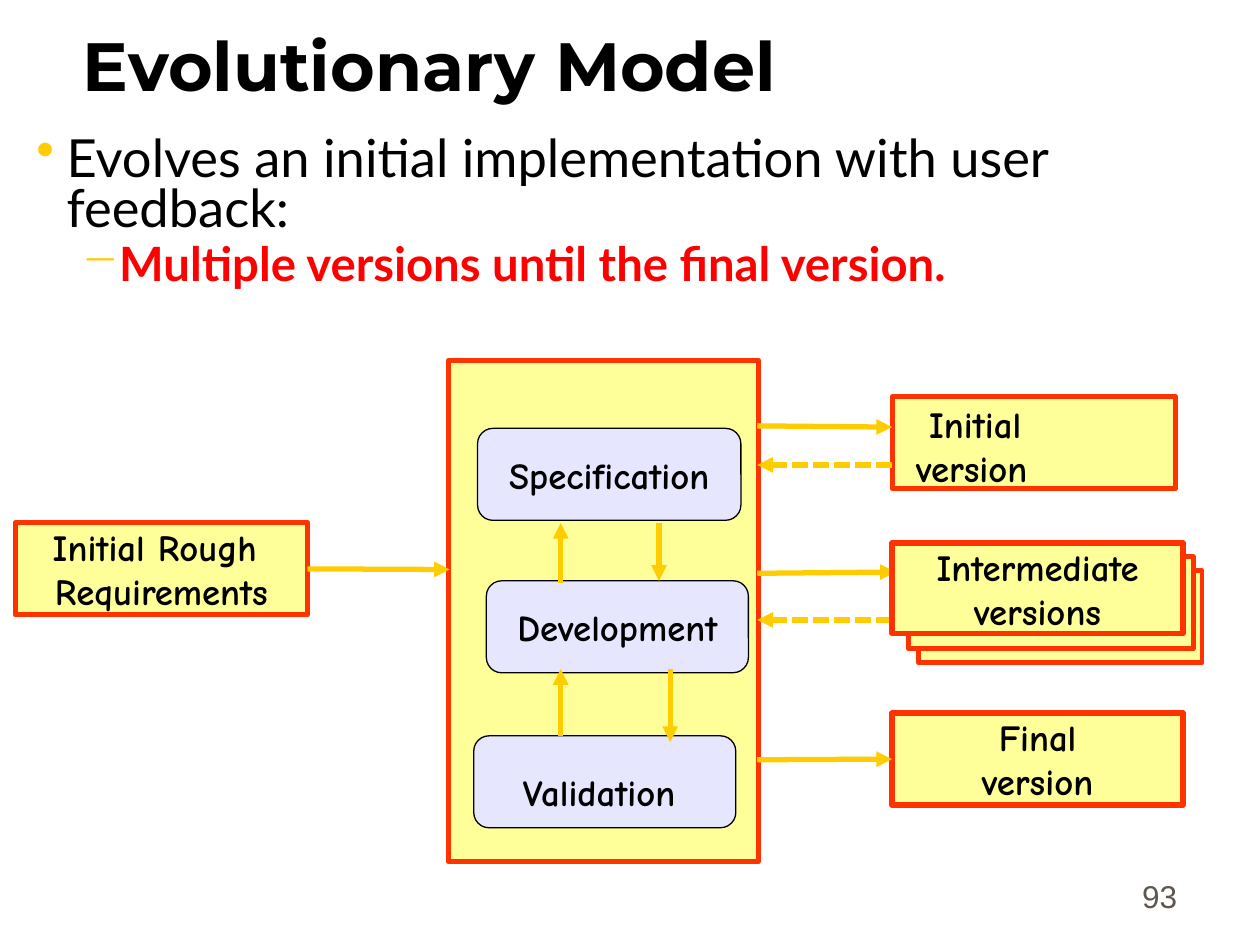
from lxml.etree import SubElement
from pptx import Presentation
from pptx.dml.color import RGBColor
from pptx.enum.dml import MSO_LINE
from pptx.enum.shapes import MSO_CONNECTOR, MSO_SHAPE
from pptx.enum.text import MSO_ANCHOR, PP_ALIGN
from pptx.oxml.ns import qn
from pptx.util import Inches, Pt

COLORS = {"black": "000000", "red": "FF0000", "gold": "FFCC00", "yellow": "FFFF99",
          "orange": "FF3300", "lavender": "E6E6FF", "gray": "5E574E"}

# Content: text lines, then left, top, width, height in inches
TITLE = "Evolutionary Model"
BULLETS = [
    ("Evolves an initial implementation with user feedback:",
     dict(size=30, color="black"),
     dict(char="•", margin=0.31, hang=0.24, before=1.5, after=3)),
    ("Multiple versions until the final version.",
     dict(size=27, color="red", bold=True),
     dict(char="−", margin=0.64, hang=0.21, before=1.2, after=2.6)),
]
PAGE_NUMBER = "93"

BOX_H = 0.73
PROCESS = (3.56, 2.86, 2.46, 3.98)
STAGES = [
    (["Specification"], (3.79, 3.4, 2.09, BOX_H)),
    (["Development"], (3.86, 4.61, 2.08, BOX_H)),
    ([], (3.76, 5.84, 2.08, BOX_H)),
]
VALIDATION = (["Validation"], (4.06, 6.07, 1.52, 0.37))
REQUIREMENTS = (["Initial Rough ", "Requirements"], (0.12, 4.15, 2.32, BOX_H))
INITIAL_BOX = (7.08, 3.15, 2.25, BOX_H)
INITIAL = ([" Initial", "version"], (7.18, 3.15, 1.62, BOX_H))
FINAL = (["Final", "version"], (7.08, 5.66, 2.31, BOX_H))
INTERMEDIATE = [  # stacked sheets, back to front
    ([], (7.29, 4.53, 2.25, BOX_H)),
    ([], (7.21, 4.42, 2.26, BOX_H)),
    (["Intermediate", "versions"], (7.08, 4.31, 2.31, 0.72)),
]

# Arrows: start point, tip, dashed
STAGE_ARROWS = [
    ((4.45, 4.63), (4.45, 4.15), False),
    ((5.23, 4.15), (5.23, 4.61), False),
    ((4.45, 5.84), (4.45, 5.31), False),
    ((5.32, 5.31), (5.32, 5.89), False),
]
VERSION_ARROWS = [
    ((6.01, 3.38), (7.08, 3.39), False),
    ((7.08, 3.69), (6.01, 3.69), True),
    ((6.01, 4.55), (7.11, 4.54), False),
    ((7.08, 4.92), (6.01, 4.92), True),
]

prs = Presentation()
prs.slide_width, prs.slide_height = Inches(10), Inches(7.5)
slide = prs.slides.add_slide(prs.slide_layouts[6])


def rgb(name):
    return RGBColor.from_string(COLORS[name])


def write(frame, lines, size=21, font="Comic Neue", color="black", bold=False,
          align=PP_ALIGN.LEFT, anchor=MSO_ANCHOR.TOP, wrap=True, inset=(0.09, 0.04)):
    """Fill a text frame, one paragraph per line."""
    frame.word_wrap = wrap
    frame.vertical_anchor = anchor
    frame.margin_left = frame.margin_right = Inches(inset[0])
    frame.margin_top = frame.margin_bottom = Inches(inset[1])
    for i, line in enumerate(lines):
        paragraph = frame.add_paragraph() if i else frame.paragraphs[0]
        paragraph.alignment = align
        add_run(paragraph, line, size, font, color, bold)


def add_run(paragraph, text, size, font, color, bold=False):
    run = paragraph.add_run()
    run.text = text
    run.font.size, run.font.name, run.font.bold = Pt(size), font, bold
    run.font.color.rgb = rgb(color)


def add_text(place, lines, **style):
    frame = slide.shapes.add_textbox(*map(Inches, place)).text_frame
    write(frame, lines, **style)
    return frame


def add_box(lines, place, kind=MSO_SHAPE.RECTANGLE, fill="yellow", line="orange", weight=3):
    box = slide.shapes.add_shape(kind, *map(Inches, place))
    box.shadow.inherit = False
    box.fill.solid()
    box.fill.fore_color.rgb = rgb(fill)
    box.line.color.rgb = rgb(line)
    box.line.width = Pt(weight)
    if lines:
        write(box.text_frame, lines, bold=True, align=PP_ALIGN.CENTER,
              anchor=MSO_ANCHOR.MIDDLE, wrap=False)
    return box


def add_arrow(start, tip, dashed=False):
    arrow = slide.shapes.add_connector(MSO_CONNECTOR.STRAIGHT, *map(Inches, start + tip))
    arrow.line.color.rgb = rgb("gold")
    arrow.line.width = Pt(3)
    if dashed:
        arrow.line.dash_style = MSO_LINE.SQUARE_DOT
    SubElement(arrow.line._get_or_add_ln(), qn("a:tailEnd"), type="triangle")
    SubElement(arrow._element.spPr, qn("a:effectLst"))
    return arrow


def set_bullet(paragraph, char, margin, hang, before, after):
    paragraph.line_spacing = 0.8
    paragraph.space_before, paragraph.space_after = Pt(before), Pt(after)
    props = paragraph._p.get_or_add_pPr()
    props.set("marL", str(Inches(margin)))
    props.set("indent", str(-Inches(hang)))
    bullet_color = SubElement(props, qn("a:buClr"))
    SubElement(bullet_color, qn("a:srgbClr"), val=COLORS["gold"])
    SubElement(props, qn("a:buChar"), char=char)


# Title and bullets
add_text((0.56, 0.06, 8.53, 0.82), [TITLE], size=39, font="Montserrat", bold=True,
         anchor=MSO_ANCHOR.BOTTOM, inset=(0.1, 0.05))
body = add_text((0.12, 1.04, 9.77, 1.55), [], inset=(0.1, 0.05))
for i, (text, style, bullet) in enumerate(BULLETS):
    item = body.add_paragraph() if i else body.paragraphs[0]
    item.level = i
    set_bullet(item, **bullet)
    add_run(item, text, font="Lato", **style)

# Process with its three stages
add_box([], PROCESS)
for lines, place in STAGES:
    add_box(lines, place, MSO_SHAPE.ROUNDED_RECTANGLE, "lavender", "black", 0.75)
add_text(VALIDATION[1], VALIDATION[0], bold=True, wrap=False)

# Input, first and last versions
requirements = add_box(*REQUIREMENTS)
add_box([], INITIAL_BOX, weight=2.83)
add_text(INITIAL[1], INITIAL[0], bold=True)
final = add_box(*FINAL)

# Arrows
for start, tip, dashed in STAGE_ARROWS + VERSION_ARROWS:
    add_arrow(start, tip, dashed)
add_arrow((2.44, 4.52), (3.57, 4.52)).begin_connect(requirements, 3)
add_arrow((6.01, 6.03), (7.08, 6.03)).end_connect(final, 1)

# Intermediate versions, over the arrow tips
for lines, place in INTERMEDIATE:
    add_box(lines, place, weight=3 if lines else 2.83)

# Page number
add_text((7.36, 6.81, 2.08, 0.5), [PAGE_NUMBER], size=18, font="Arial", color="gray",
         align=PP_ALIGN.RIGHT, anchor=MSO_ANCHOR.BOTTOM, inset=(0.1, 0.05))

prs.save("out.pptx")
